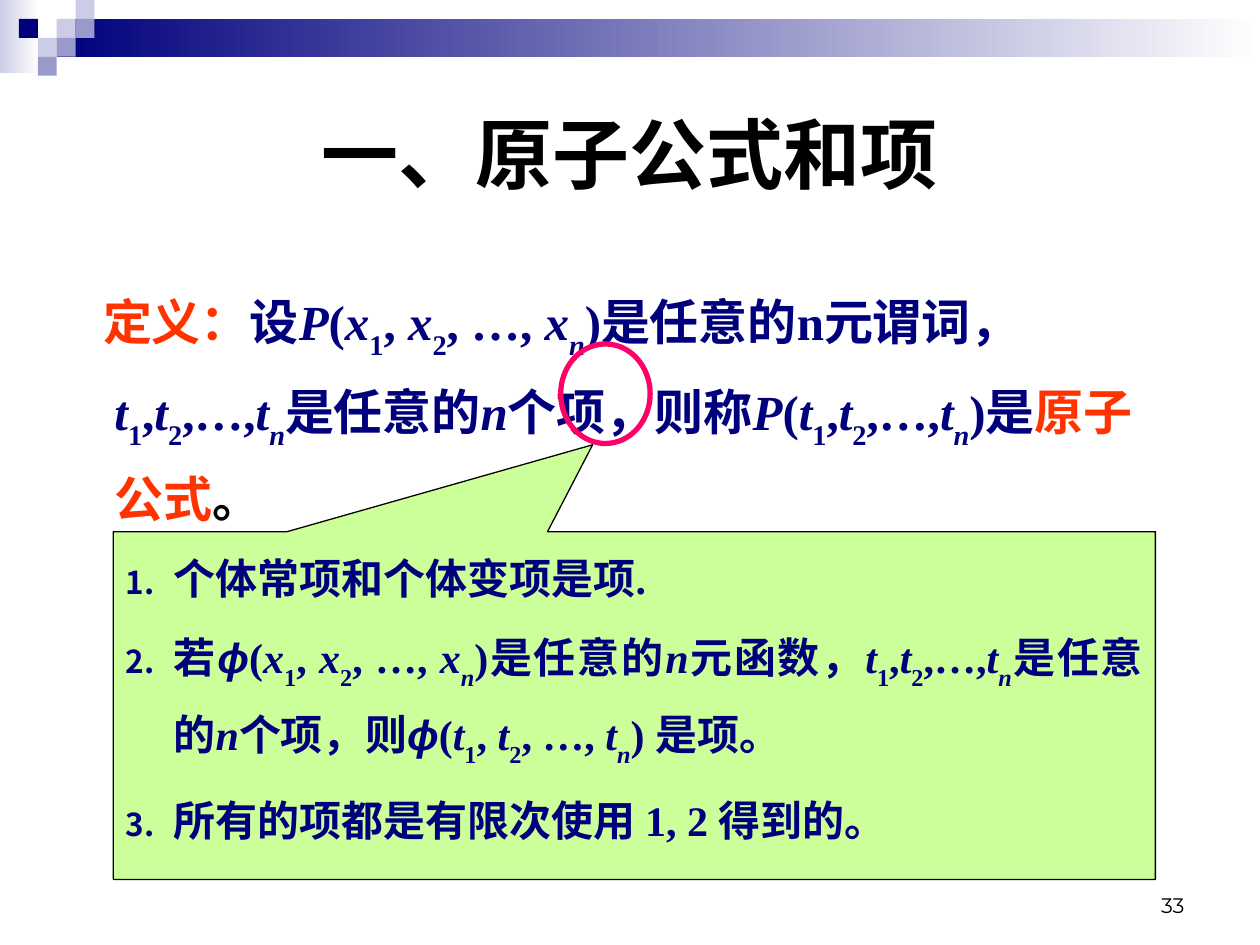
from lxml import etree
from pptx import Presentation
from pptx.dml.color import RGBColor
from pptx.enum.shapes import MSO_SHAPE
from pptx.enum.text import MSO_ANCHOR, PP_ALIGN
from pptx.oxml.ns import qn
from pptx.util import Inches, Pt

RECT, OVAL = MSO_SHAPE.RECTANGLE, MSO_SHAPE.OVAL
CALLOUT = MSO_SHAPE.RECTANGULAR_CALLOUT
TOP, MIDDLE, BOTTOM = MSO_ANCHOR.TOP, MSO_ANCHOR.MIDDLE, MSO_ANCHOR.BOTTOM
LEFT, CENTER, RIGHT = PP_ALIGN.LEFT, PP_ALIGN.CENTER, PP_ALIGN.RIGHT
JUSTIFY = PP_ALIGN.JUSTIFY

NAVY, LILAC, VIOLET = "00007D", "CCCCE6", "9999CC"
BLACK, WHITE, RED = "000000", "FFFFFF", "FF3300"
SERIF, SANS, CJK = "Times New Roman", "Arial", "Noto Sans CJK SC"


def color(code):
    return RGBColor.from_string(code)


def terms(name, sep):
    """Runs for a list such as t1,t2,…,tn; "i" is italic, "s" subscript."""
    return [(name, "i"), ("1", "s"), (sep, ""), (name, "i"), ("2", "s"),
            (sep + "…" + sep, ""), (name, "i"), ("n", "is")]


class Deck:
    def __init__(self):
        self.prs = Presentation()
        self.prs.slide_width, self.prs.slide_height = Inches(10), Inches(7.5)
        self.slide = self.prs.slides.add_slide(self.prs.slide_layouts[6])

    def shape(self, kind, box, fill=None, line=None, width=0.75):
        item = self.slide.shapes.add_shape(kind, *map(Inches, box))
        item.shadow.inherit = False
        if fill:
            item.fill.solid()
            item.fill.fore_color.rgb = color(fill)
        else:
            item.fill.background()
        if line:
            item.line.color.rgb = color(line)
            item.line.width = Pt(width)
        else:
            item.line.fill.background()
        return item

    def fade(self, box, code):
        """Bar that fades from a colour at the left to white."""
        fill = self.shape(RECT, box).fill
        fill.gradient()
        fill.gradient_angle = 180
        for stop, tone, place in zip(fill.gradient_stops, (WHITE, code), (0, 1)):
            stop.color.rgb = color(tone)
            stop.position = place

    def text(self, box, anchor=TOP):
        return self.frame(self.slide.shapes.add_textbox(*map(Inches, box)), anchor)

    def frame(self, item, anchor=TOP):
        frame = item.text_frame
        frame.word_wrap = True
        frame.vertical_anchor = anchor
        return frame

    def para(self, frame, runs, size, align=LEFT, tone=NAVY, font=SERIF,
             bold=True, first=True, space=None, indent=None, number=False):
        p = frame.paragraphs[0] if first else frame.add_paragraph()
        p.alignment = align
        if indent:
            p.line_spacing = 1.3
            ppr = p._p.get_or_add_pPr()
            ppr.set("marL", str(Inches(0.38)))
            ppr.set("indent", str(Inches(indent)))
            if number:
                self.number(ppr)
        if space and not first:
            p.space_before = Pt(space)
        for words, style in runs:
            run = p.add_run()
            run.text = words
            face = run.font
            face.size, face.bold = Pt(size), bold
            face.italic = "i" in style
            face.color.rgb = color(RED if "r" in style else
                                   BLACK if "k" in style else tone)
            face.name = SANS if "a" in style else font
            rpr = run._r.get_or_add_rPr()
            etree.SubElement(rpr, qn("a:ea")).set("typeface", CJK)
            if "s" in style:
                rpr.set("baseline", "-30000")

    def number(self, ppr):
        tint = etree.SubElement(ppr, qn("a:buClr"))
        etree.SubElement(tint, qn("a:srgbClr")).set("val", NAVY)
        for tag, key, value in (("a:buSzPct", "val", "75000"),
                                ("a:buFont", "typeface", CJK),
                                ("a:buAutoNum", "type", "arabicPeriod")):
            etree.SubElement(ppr, qn(tag)).set(key, value)


def main():
    deck = Deck()

    # Top band and its mosaic of squares, placed by column and row
    deck.fade((0, 0, 0.31, 0.58), LILAC)
    deck.fade((0.45, 0.15, 9.55, 0.3), NAVY)
    unit = 0.15
    for col, row, tone in ((3, 1, LILAC), (4, 0, LILAC), (4, 1, VIOLET),
                           (2, 2, LILAC), (1, 1, NAVY), (3, 2, VIOLET),
                           (2, 3, VIOLET)):
        deck.shape(RECT, (col * unit, row * unit, unit, unit), tone)

    # Title
    title = deck.text((0.5, 0.5, 9, 1.42), MIDDLE)
    deck.para(title, [("一、原子公式和项", "")], 44, CENTER, BLACK, CJK)

    # Definition
    body = deck.text((0.43, 2.1, 8.98, 2.36))
    deck.para(body, [
        ("定义：", "r"), ("设", ""), ("P", "i"), ("(", ""), *terms("x", ", "),
        (")是任意的n元谓词，", ""), *terms("t", ","), ("是任意的", ""),
        ("n", "i"), ("个项，则称", ""), ("P", "i"), ("(", ""),
        *terms("t", ","), (")是", ""), ("原子公式", "r"), ("。", "k"),
    ], 28, indent=-0.09)

    # Ring around the word, with a callout that explains it
    deck.shape(OVAL, (4.45, 2.73, 0.71, 0.79), line="FF0066", width=3)
    note = deck.shape(CALLOUT, (0.9, 4.22, 8.27, 2.76), "CCFF99", BLACK)
    note.adjustments[0], note.adjustments[1] = -0.04, -0.75
    frame = deck.frame(note)
    rules = (
        [("个体常项和个体变项是项.", "")],
        [("若", ""), ("ϕ", "ia"), ("(", ""), *terms("x", ", "),
         (")是任意的", ""), ("n", "i"), ("元函数，", ""), *terms("t", ","),
         ("是任意的", ""), ("n", "i"), ("个项，则", ""), ("ϕ", "ia"),
         ("(", ""), *terms("t", ", "), (") 是项。", "")],
        [("所有的项都是有限次使用 1, 2 得到的。", "")],
    )
    for i, runs in enumerate(rules):
        deck.para(frame, runs, 24, JUSTIFY, first=i == 0, space=6,
                  indent=-0.38, number=True)

    # Page number
    page = deck.text((7.17, 6.83, 2.33, 0.5), BOTTOM)
    deck.para(page, [("33", "")], 12, RIGHT, BLACK, "Montserrat", bold=False)

    deck.prs.save("out.pptx")


if __name__ == "__main__":
    main()
